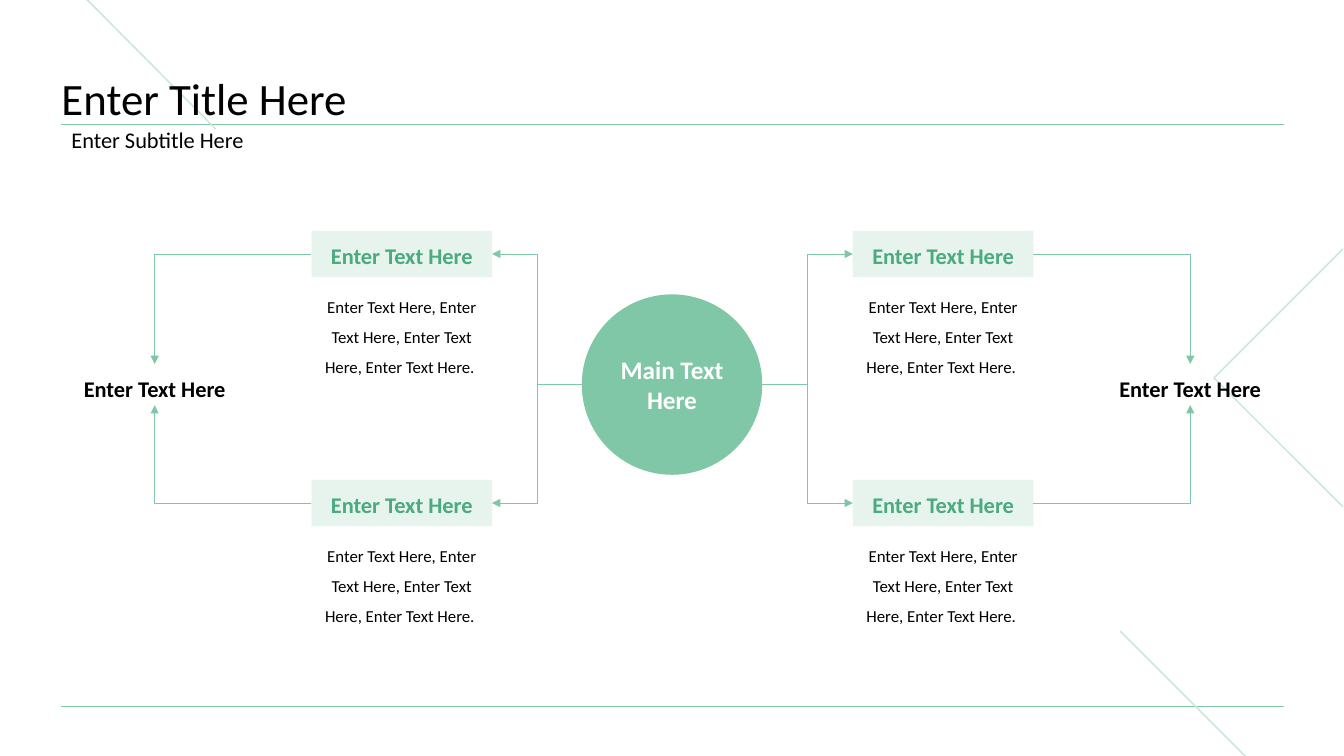
from dataclasses import dataclass
from typing import Any

from lxml import etree
from pptx import Presentation
from pptx import util as u
from pptx.dml.color import RGBColor
from pptx.enum import shapes, text
from pptx.oxml import ns

GREEN = RGBColor(0x80, 0xC7, 0xA7)
DARK_GREEN = RGBColor(0x4B, 0xAA, 0x7F)
PALE_GREEN = RGBColor(0xE6, 0xF4, 0xED)
LINE_GREEN = RGBColor(0xC6, 0xE6, 0xD7)
BLACK = RGBColor(0, 0, 0)
WHITE = RGBColor(0xFF, 0xFF, 0xFF)
FONT = "Calibri"

MARGIN, CONTENT_W = 0.61, 12.12
CIRCLE_X, CIRCLE_Y, CIRCLE_D = 5.77, 2.92, 1.79
BOX_W, BOX_H = 1.79, 0.46
BOX_TOPS = (2.29, 4.76)
LABEL_Y, LABEL_W, LABEL_H = 3.61, 1.85, 0.41
TOP, LEFT, BOTTOM, RIGHT = range(4)
STRAIGHT, ELBOW = shapes.MSO_CONNECTOR.STRAIGHT, shapes.MSO_CONNECTOR.ELBOW


@dataclass(frozen=True)
class Rule:
    x1: float
    y1: float
    x2: float
    y2: float
    color: RGBColor
    width: float


@dataclass(frozen=True)
class Side:
    circle_edge: float
    box_x: float
    label_x: float
    inner: int
    outer: int


RULES = (
    Rule(MARGIN, 7.01, MARGIN + CONTENT_W, 7.01, GREEN, 0.5),
    Rule(MARGIN, 1.23, MARGIN + CONTENT_W, 1.23, GREEN, 0.5),
    Rule(11.11, 6.26, 12.98, 8.13, LINE_GREEN, 1),
    Rule(0.28, -0.59, 2.14, 1.28, LINE_GREEN, 1),
)
SIDES = (
    Side(CIRCLE_X + CIRCLE_D, 8.46, 10.88, LEFT, RIGHT),
    Side(CIRCLE_X, 3.09, MARGIN, RIGHT, LEFT),
)


def write(sp: Any, words: str, *, size: float, color: RGBColor = BLACK,
          bold: bool = False, align: Any = text.PP_ALIGN.CENTER,
          spacing: float = 1.5, anchor: Any = text.MSO_ANCHOR.MIDDLE,
          insets: tuple = (0.1, 0.05, 0.1, 0.05), grow: bool = True) -> None:
    tf = sp.text_frame
    tf.word_wrap = True
    tf.auto_size = (text.MSO_AUTO_SIZE.SHAPE_TO_FIT_TEXT if grow
                    else text.MSO_AUTO_SIZE.NONE)
    tf.vertical_anchor = anchor
    tf.margin_left, tf.margin_top, tf.margin_right, tf.margin_bottom = map(u.Inches, insets)
    p = tf.paragraphs[0]
    p.alignment, p.line_spacing = align, spacing
    r = p.add_run()
    r.text = words
    r.font.name, r.font.size, r.font.bold = FONT, u.Pt(size), bold
    r.font.color.rgb = color


def add_box(s: Any, kind: Any, x: float, y: float, w: float, h: float,
            fill: RGBColor) -> Any:
    sp = s.shapes.add_shape(kind, *map(u.Inches, (x, y, w, h)))
    sp.shadow.inherit = False
    sp.fill.solid()
    sp.fill.fore_color.rgb = fill
    sp.line.fill.background()
    return sp


def add_text(s: Any, words: str, x: float, y: float, w: float, h: float,
             **style: Any) -> Any:
    sp = s.shapes.add_textbox(*map(u.Inches, (x, y, w, h)))
    write(sp, words, **style)
    return sp


def add_line(s: Any, kind: Any, rule: Rule, arrow: bool = False) -> Any:
    ends = (rule.x1, rule.y1, rule.x2, rule.y2)
    cx = s.shapes.add_connector(kind, *map(u.Inches, ends))
    cx.line.color.rgb = rule.color
    cx.line.width = u.Pt(rule.width)
    sp_pr = cx.element.spPr
    if arrow:
        tail = etree.SubElement(sp_pr.find(ns.qn("a:ln")), ns.qn("a:tailEnd"))
        tail.set("type", "triangle")
    etree.SubElement(sp_pr, ns.qn("a:effectLst"))
    return cx


def add_corner(s: Any, box: Any, box_site: int, label: Any, label_site: int,
               ends: tuple) -> None:
    cx = add_line(s, ELBOW, Rule(*ends, GREEN, 0.5), arrow=True)
    cx.element.spPr.find(ns.qn("a:prstGeom")).set("prst", "bentConnector2")
    cx.begin_connect(box, box_site)
    cx.end_connect(label, label_site)


def add_side(s: Any, side: Side) -> None:
    label = add_text(s, "Enter Text Here", side.label_x, LABEL_Y, LABEL_W, LABEL_H,
                     size=16, bold=True, insets=(0.1, 0, 0.1, 0.05))
    label_mid = side.label_x + LABEL_W / 2
    circle_mid = CIRCLE_Y + CIRCLE_D / 2
    edges = {LEFT: side.box_x, RIGHT: side.box_x + BOX_W}
    for top, site, label_edge in zip(BOX_TOPS, (TOP, BOTTOM), (LABEL_Y, LABEL_Y + LABEL_H)):
        mid = top + BOX_H / 2
        add_line(s, ELBOW, Rule(side.circle_edge, circle_mid, edges[side.inner], mid,
                                GREEN, 0.5), arrow=True)
        box = add_box(s, shapes.MSO_SHAPE.RECTANGLE, side.box_x, top, BOX_W, BOX_H, PALE_GREEN)
        write(box, "Enter Text Here", size=16, color=DARK_GREEN, bold=True,
              insets=(0.1, 0, 0.1, 0.1))
        add_text(s, "Enter Text Here, Enter Text Here, Enter Text Here, Enter Text Here. ",
                 side.box_x, top + 0.51, BOX_W, 0.98, size=12)
        add_corner(s, box, side.outer, label, site,
                   (edges[side.outer], mid, label_mid, label_edge))


prs = Presentation()
prs.slide_width, prs.slide_height = u.Inches(13.33), u.Inches(7.5)
s = prs.slides.add_slide(prs.slide_layouts[5])

for rule in RULES:
    add_line(s, STRAIGHT, rule)
fb = s.shapes.build_freeform(u.Inches(13.32), u.Inches(2.47))
fb.add_line_segments([(u.Inches(12.04), u.Inches(3.75)),
                      (u.Inches(13.32), u.Inches(5.03))], close=False)
chevron = fb.convert_to_shape()
chevron.shadow.inherit = False
chevron.fill.background()
chevron.line.color.rgb = LINE_GREEN
chevron.line.width = u.Pt(1)

title = s.shapes.title
title.element.getparent().append(title.element)
title.left, title.top, title.width, title.height = map(
    u.Inches, (MARGIN, 0.44, CONTENT_W, 0.8))
write(title, "Enter Title Here", size=32, align=text.PP_ALIGN.LEFT, spacing=0.9,
      anchor=text.MSO_ANCHOR.BOTTOM, insets=(0, 0, 0, 0), grow=False)
add_text(s, "Enter Subtitle Here", MARGIN, 1.23, CONTENT_W, 0.34, size=16,
         align=text.PP_ALIGN.LEFT, spacing=0.9)

circle = add_box(s, shapes.MSO_SHAPE.OVAL, CIRCLE_X, CIRCLE_Y, CIRCLE_D, CIRCLE_D, GREEN)
write(circle, "Main Text Here", size=18, color=WHITE, bold=True, spacing=1.0, grow=False)
for side in SIDES:
    add_side(s, side)

prs.save("out.pptx")
